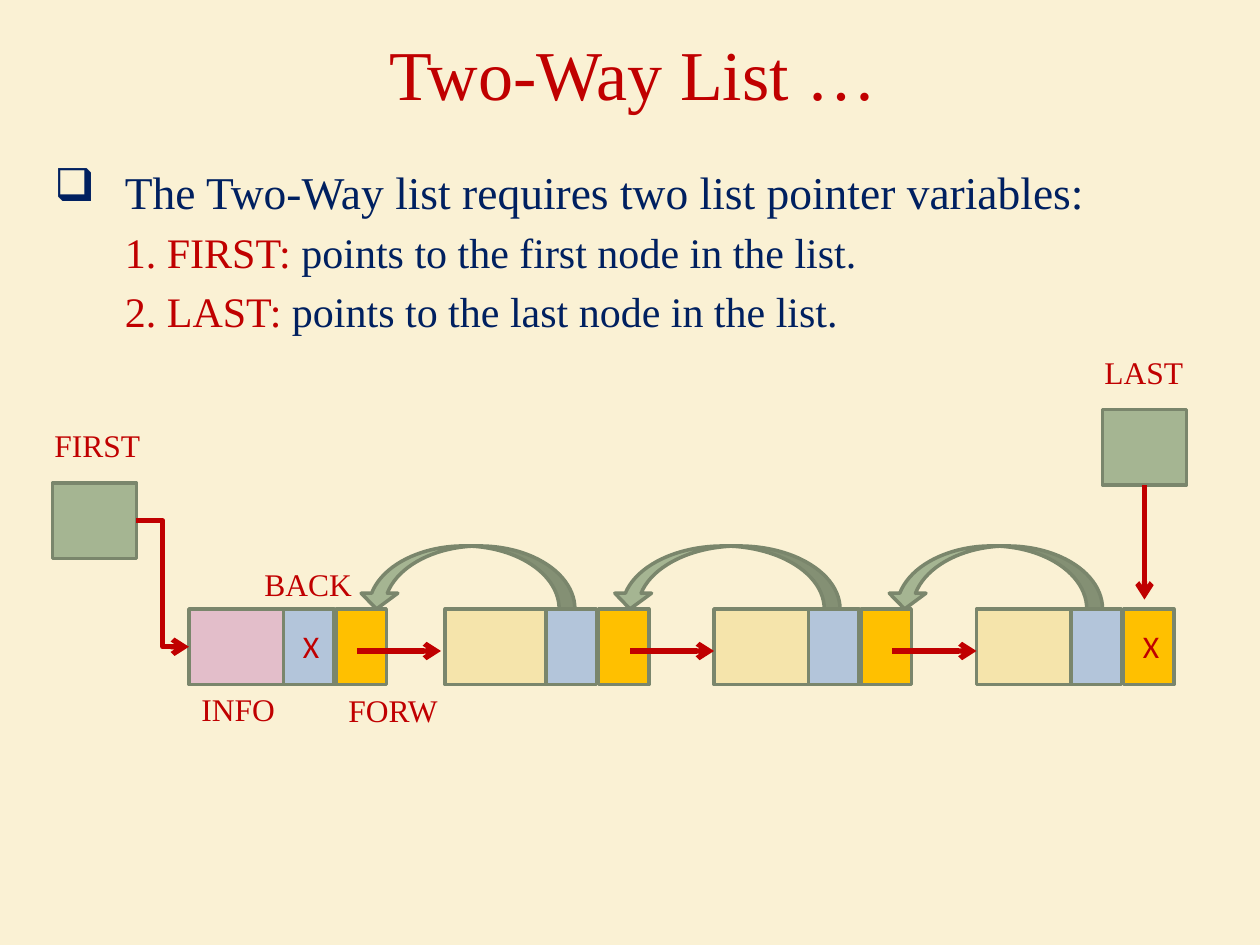
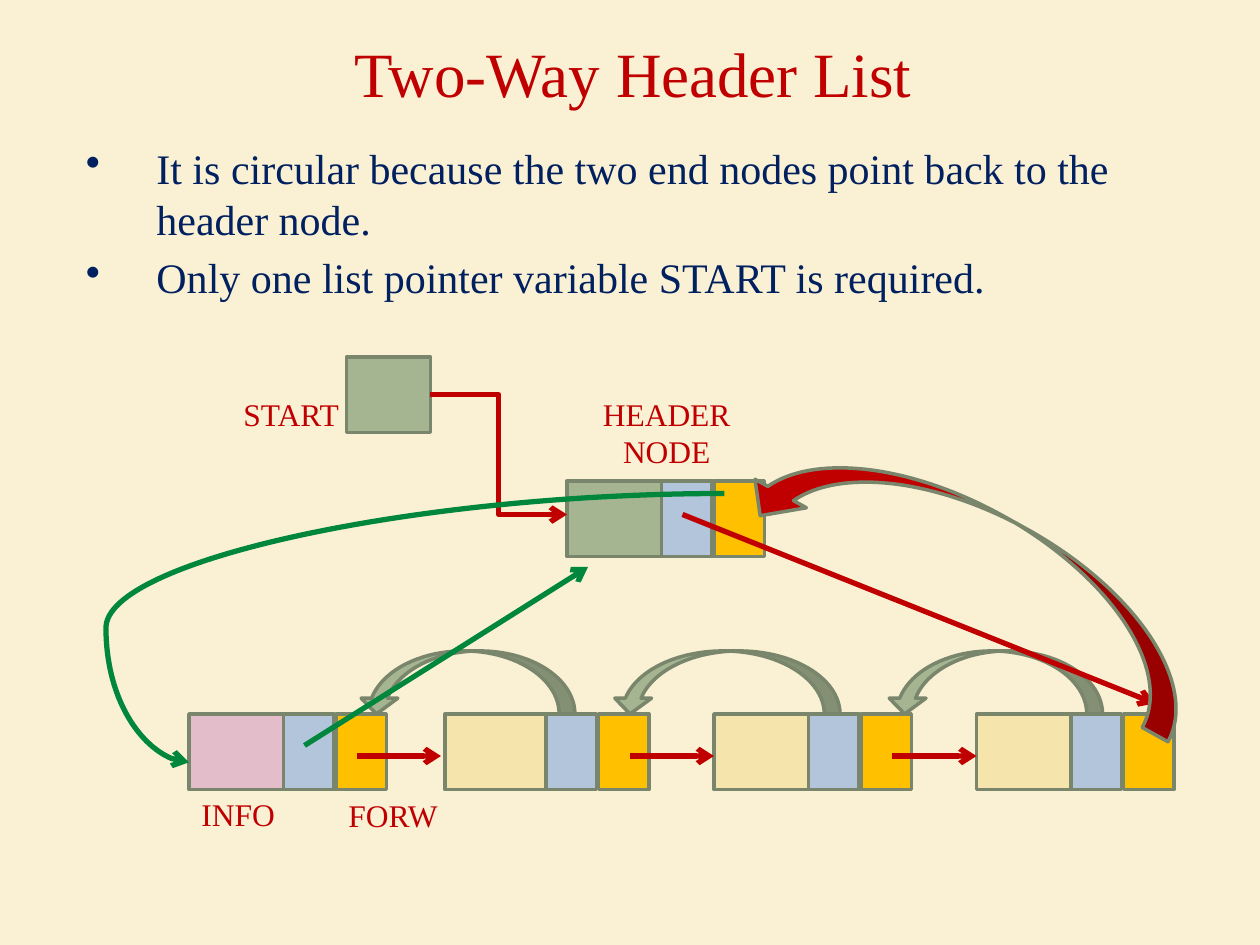
from dataclasses import dataclass

from lxml import etree
from pptx import Presentation
from pptx.dml.color import RGBColor
from pptx.enum.shapes import MSO_CONNECTOR, MSO_SHAPE
from pptx.enum.text import MSO_ANCHOR, PP_ALIGN
from pptx.oxml.ns import qn
from pptx.util import Inches, Pt

RECT = MSO_SHAPE.RECTANGLE
BACK_ARC = MSO_SHAPE.CURVED_RIGHT_ARROW
RETURN_ARC = MSO_SHAPE.CURVED_UP_ARROW
STRAIGHT = MSO_CONNECTOR.STRAIGHT
BENT = MSO_CONNECTOR.ELBOW
CURVE = MSO_CONNECTOR.CURVE
LEFT = PP_ALIGN.LEFT
CENTER = PP_ALIGN.CENTER
TOP = MSO_ANCHOR.TOP
MIDDLE = MSO_ANCHOR.MIDDLE


@dataclass(frozen=True)
class Theme:
    paper: str = "FAF1D4"
    red: str = "C00000"
    navy: str = "002060"
    green: str = "00863D"
    sage: str = "A5B592"
    outline: str = "7A866C"
    pink: str = "E3BECA"
    cream: str = "F5E4AB"
    blue: str = "B3C5DA"
    gold: str = "FFC000"
    serif: str = "Times New Roman"
    sans: str = "Calibri"
    title: int = 40
    long_title: int = 36
    lead: int = 26
    body: int = 24
    label: int = 18
    outline_width: int = 2
    pointer_width: int = 3


THEME = Theme()
COLUMNS, ROWS = 120, 90
CELL_HEIGHT = 7.2
BOX_WIDTH, INFO_WIDTH, LINK_WIDTH = 8, 9.6, 4.8
BACK_START, NODE_STEP, FORW_OFFSET = 27, 25, 5
INFO_LEFTS = (18, 42.4, 68, 93)
INFO_FILLS = (THEME.pink,) + (THEME.cream,) * 3
FORW_STARTS = (34, 60, 85)
ARC_SPANS = ((34.1, 54.75), (58.25, 80), (84.4, 105))
ARC_HEIGHT = 6
ARC_BEND = (0.25, 0.583, 0.25)
BULLET_INDENT = 0.56


def grid(units):
    return Inches(units / 12)


def rgb(value):
    return RGBColor.from_string(value)


def apply(target, formats):
    for name, value in formats.items():
        setattr(target, name, value)


def paint(shape, fill):
    shape.shadow.inherit = False
    shape.fill.solid()
    shape.fill.fore_color.rgb = rgb(fill)
    shape.line.color.rgb = rgb(THEME.outline)
    shape.line.width = Pt(THEME.outline_width)


def add_block(slide, kind, left, top, width, height, fill, rotation=0):
    block = slide.shapes.add_shape(kind, *map(grid, (left, top, width, height)))
    paint(block, fill)
    block.rotation = rotation
    return block


def add_run(paragraph, text, size, color, font=THEME.serif):
    run = paragraph.add_run()
    run.text = text
    apply(run.font, {"size": Pt(size), "name": font})
    run.font.color.rgb = rgb(color)


def add_frame(slide, left, top, width, height, anchor=TOP):
    frame = slide.shapes.add_textbox(*map(grid, (left, top, width, height))).text_frame
    apply(frame, {"word_wrap": True, "vertical_anchor": anchor})
    return frame


def add_label(slide, text, left, top, width=16, align=LEFT, font=THEME.serif):
    paragraph = add_frame(slide, left, top, width, 4.8).paragraphs[0]
    paragraph.alignment = align
    add_run(paragraph, text, THEME.label, THEME.red, font)


def add_title(slide, text, size):
    paragraph = add_frame(slide, 6.6, 0, 107.4, 13.8, MIDDLE).paragraphs[0]
    paragraph.alignment = CENTER
    add_run(paragraph, text, size, THEME.red)


def add_points(slide, left, top, width, points):
    frame = add_frame(slide, left, top, width, 69)
    for index, (bullet, size, parts) in enumerate(points):
        paragraph = frame.add_paragraph() if index else frame.paragraphs[0]
        paragraph.space_before = Pt(size * 0.2)
        properties = paragraph._p.get_or_add_pPr()
        properties.set("marL", str(Inches(BULLET_INDENT)))
        properties.set("indent", str(-Inches(BULLET_INDENT) if bullet else 0))
        if bullet:
            etree.SubElement(properties, qn("a:buChar"), char=bullet)
        for text, color in parts:
            add_run(paragraph, text, size, color)


def add_pointer(slide, start, end, kind=STRAIGHT, color=THEME.red, bend=None):
    pointer = slide.shapes.add_connector(kind, *map(grid, start + end))
    pointer.line.color.rgb = rgb(color)
    pointer.line.width = Pt(THEME.pointer_width)
    etree.SubElement(pointer.line._get_or_add_ln(), qn("a:tailEnd"), type="arrow")
    properties = pointer._element.spPr
    etree.SubElement(properties, qn("a:effectLst"))
    if bend is not None:
        guides = properties.find(qn("a:prstGeom")).find(qn("a:avLst"))
        etree.SubElement(guides, qn("a:gd"), name="adj1", fmla=f"val {round(bend * 100000)}")


def add_list_box(slide, left, top):
    add_block(slide, RECT, left, top, BOX_WIDTH, CELL_HEIGHT, THEME.sage)


def add_node(slide, info_left, back_left, top, info_fill):
    for left, width, fill in (
        (info_left, INFO_WIDTH, info_fill),
        (back_left, LINK_WIDTH, THEME.blue),
        (back_left + FORW_OFFSET, LINK_WIDTH, THEME.gold),
    ):
        add_block(slide, RECT, left, top, width, CELL_HEIGHT, fill)


def add_back_arc(slide, left, right, bottom):
    span = right - left
    arc = add_block(
        slide, BACK_ARC, (left + right - ARC_HEIGHT) / 2,
        bottom - (ARC_HEIGHT + span) / 2, ARC_HEIGHT, span, THEME.sage, 90,
    )
    for index, bend in enumerate(ARC_BEND):
        arc.adjustments[index] = bend


def add_chain(slide, top):
    for index, (info_left, fill) in enumerate(zip(INFO_LEFTS, INFO_FILLS)):
        add_node(slide, info_left, BACK_START + index * NODE_STEP, top, fill)
    for left in FORW_STARTS:
        add_pointer(slide, (left, top + 4), (left + 8, top + 4))
    for left, right in ARC_SPANS:
        add_back_arc(slide, left, right, top)
    add_label(slide, "INFO", 18, top + 7.1, 10)
    add_label(slide, "FORW", 32, top + 7.2, 11)


def add_slide(deck, title, size):
    slide = deck.slides.add_slide(deck.slide_layouts[6])
    slide.background.fill.solid()
    slide.background.fill.fore_color.rgb = rgb(THEME.paper)
    add_title(slide, title, size)
    return slide


def build_two_way_list(deck):
    slide = add_slide(deck, "Two-Way List …", THEME.title)
    add_points(slide, 4, 15, 113, (
        ("❑", THEME.lead,
         (("The Two-Way list requires two list pointer variables:", THEME.navy),)),
        (None, THEME.body,
         (("1. FIRST: ", THEME.red), ("points to the first node in the list.", THEME.navy))),
        (None, THEME.body,
         (("2. LAST: ", THEME.red), ("points to the last node in the list.", THEME.navy))),
    ))
    chain_top = 58
    add_chain(slide, chain_top)
    add_list_box(slide, 5, 46)
    add_label(slide, "FIRST", 4, 40)
    add_pointer(slide, (13, 49.6), (18, 61.6), BENT)
    add_list_box(slide, 105, 39)
    add_label(slide, "LAST", 104, 33)
    add_pointer(slide, (109, 46.2), (109, 57.1))
    add_label(slide, "BACK", 24, 53.2)
    for left in (27, 107):
        add_label(slide, " X", left, chain_top + 1.1, 5, font=THEME.sans)


def build_header_list(deck):
    slide = add_slide(deck, "Two-Way Header List", THEME.long_title)
    add_points(slide, 7, 13, 107, [
        ("•", THEME.body, ((text, THEME.navy),)) for text in (
            "It is circular because the two end nodes point back to the header node.",
            "Only one list pointer variable START is required.",
        )
    ])
    add_chain(slide, 68)
    add_list_box(slide, 33, 34)
    add_label(slide, "START", 22, 37)
    add_label(slide, "HEADER NODE", 56, 37, 15, CENTER)
    add_node(slide, 54, 63, 45.8, THEME.sage)
    add_pointer(slide, (41, 37.6), (54, 49), BENT)
    add_pointer(slide, (69, 47), (18, 72.6), CURVE, THEME.green, 1.155)
    add_pointer(slide, (29, 71), (56, 54), color=THEME.green)
    add_pointer(slide, (65, 49), (110, 67))
    add_block(slide, RETURN_ARC, 69.7, 48.7, 47.2, 11.2, THEME.red, 209)


def main():
    deck = Presentation()
    apply(deck, {"slide_width": grid(COLUMNS), "slide_height": grid(ROWS)})
    build_two_way_list(deck)
    build_header_list(deck)
    deck.save("out.pptx")


if __name__ == "__main__":
    main()
